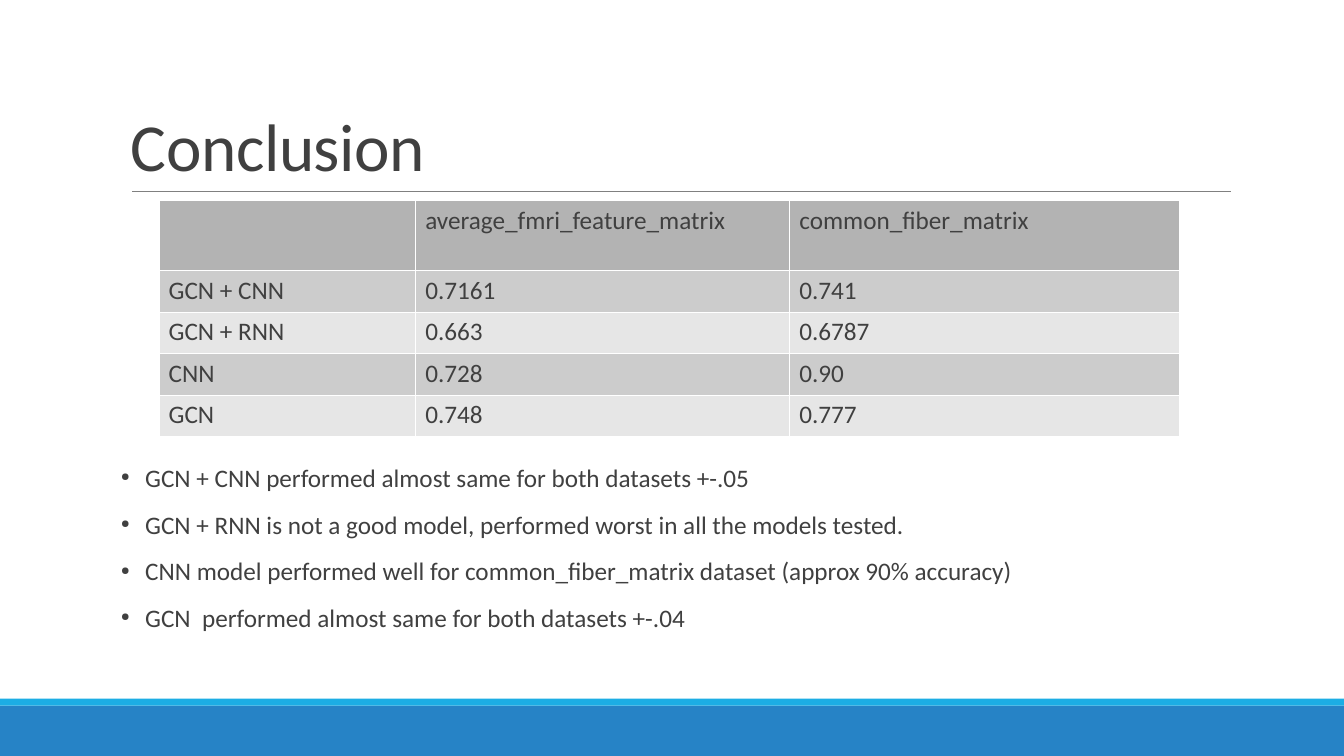
from lxml import etree
from pptx import Presentation
from pptx import util as u
from pptx.dml.color import RGBColor
from pptx.enum import shapes, text
from pptx.oxml.ns import qn

SCORES = [
    ["", "average_fmri_feature_matrix", "common_fiber_matrix"],
    ["GCN + CNN", "0.7161", "0.741"],
    ["GCN + RNN", "0.663", "0.6787"],
    ["CNN", "0.728", "0.90"],
    ["GCN", "0.748", "0.777"],
]
FINDINGS = [
    "GCN + CNN performed almost same for both datasets +-.05",
    "GCN + RNN is not a good model, performed worst in all the models tested.",
    "CNN model performed well for common_fiber_matrix dataset (approx 90% accuracy)",
    "GCN  performed almost same for both datasets +-.04",
]


def rgb(code):
    return RGBColor.from_string(code)


def add_xml(parent, tag, **attributes):
    return etree.SubElement(parent, qn(tag), attributes)


class Deck:
    """Style and current slide; lengths are percentages of the slide's size."""

    font, ink = "Calibri", "404040"
    body_size, title_size = 18, 48
    header, bands = "B3B3B3", ("CCCCCC", "E6E6E6")

    def __init__(self):
        self.show = Presentation()
        self.show.slide_width = u.Inches(13.333)
        self.show.slide_height = u.Inches(7.5)
        self.slide = self.show.slides.add_slide(self.show.slide_layouts[6])

    def x(self, share):
        return round(self.show.slide_width * share / 100)

    def y(self, share):
        return round(self.show.slide_height * share / 100)

    def area(self, left, top, width, height):
        return self.x(left), self.y(top), self.x(width), self.y(height)

    def style(self, paragraph, size):
        for run in paragraph.runs:
            run.font.name, run.font.size = self.font, u.Pt(size)
            run.font.bold = False
            run.font.color.rgb = rgb(self.ink)

    def bar(self, top, height, colour):
        band = self.slide.shapes.add_shape(
            shapes.MSO_SHAPE.RECTANGLE, *self.area(0, top, 100, height))
        band.shadow.inherit = False
        band.fill.solid()
        band.fill.fore_color.rgb = rgb(colour)
        band.line.fill.background()

    def rule(self, left, right, top, colour):
        line = self.slide.shapes.add_connector(
            shapes.MSO_CONNECTOR.STRAIGHT,
            self.x(left), self.y(top), self.x(right), self.y(top))
        line.line.color.rgb = rgb(colour)
        line.line.width = u.Pt(0.5)
        add_xml(line._element.spPr, "a:effectLst")

    def text_frame(self, *area):
        frame = self.slide.shapes.add_textbox(*self.area(*area)).text_frame
        frame.word_wrap = True
        return frame

    def title(self, words, *area):
        frame = self.text_frame(*area)
        frame.vertical_anchor = text.MSO_ANCHOR.BOTTOM
        frame.text = words
        heading = frame.paragraphs[0]
        heading.line_spacing = 0.85
        self.style(heading, self.title_size)
        heading.runs[0].font._element.set("spc", "-30")

    def bullets(self, items, *area):
        frame = self.text_frame(*area)
        frame.margin_left = frame.margin_right = 0
        frame.text = "\n".join(items)
        indent = u.Inches(0.24)
        for item in frame.paragraphs:
            item.line_spacing = 0.9
            item.space_after = u.Pt(14)
            self.style(item, self.body_size)
            props = item._p.get_or_add_pPr()
            props.set("marL", str(indent))
            props.set("indent", str(-indent))
            add_xml(add_xml(props, "a:buClr"), "a:srgbClr", val=self.ink)
            add_xml(props, "a:buSzPct", val="45000")
            add_xml(props, "a:buChar", char="●")

    def cell(self, cell, words, colour):
        props = cell._tc.get_or_add_tcPr()
        for side in ("a:lnL", "a:lnR", "a:lnT", "a:lnB"):
            border = add_xml(props, side, w=str(u.Pt(0.06)))
            add_xml(add_xml(border, "a:solidFill"), "a:srgbClr", val="FFFFFF")
        cell.fill.solid()
        cell.fill.fore_color.rgb = rgb(colour)
        cell.text = words
        paragraph = cell.text_frame.paragraphs[0]
        paragraph.font.size = u.Pt(self.body_size)
        self.style(paragraph, self.body_size)

    def table(self, rows, left, top, widths, heights):
        grid = self.slide.shapes.add_table(
            len(rows), len(widths),
            *self.area(left, top, sum(widths), sum(heights))).table
        for column, width in zip(grid.columns, widths):
            column.width = self.x(width)
        for r, (row, height) in enumerate(zip(rows, heights)):
            grid.rows[r].height = self.y(height)
            colour = self.bands[(r - 1) % 2] if r else self.header
            for c, words in enumerate(row):
                self.cell(grid.cell(r, c), words, colour)


def main():
    deck = Deck()
    deck.bar(93.33, 6.67, "2683C6")
    deck.bar(92.4, 0.93, "1CADE4")
    deck.rule(9.83, 91.58, 25.33, "808080")
    deck.title("Conclusion", 9, 4.13, 82.5, 21.07)
    deck.bullets(FINDINGS, 9, 60.93, 82.5, 28)
    deck.table(SCORES, 11.8, 26.53, [19.1, 27.83, 28.97], [9.2] + [5.5] * 4)
    deck.show.save("out.pptx")


if __name__ == "__main__":
    main()
